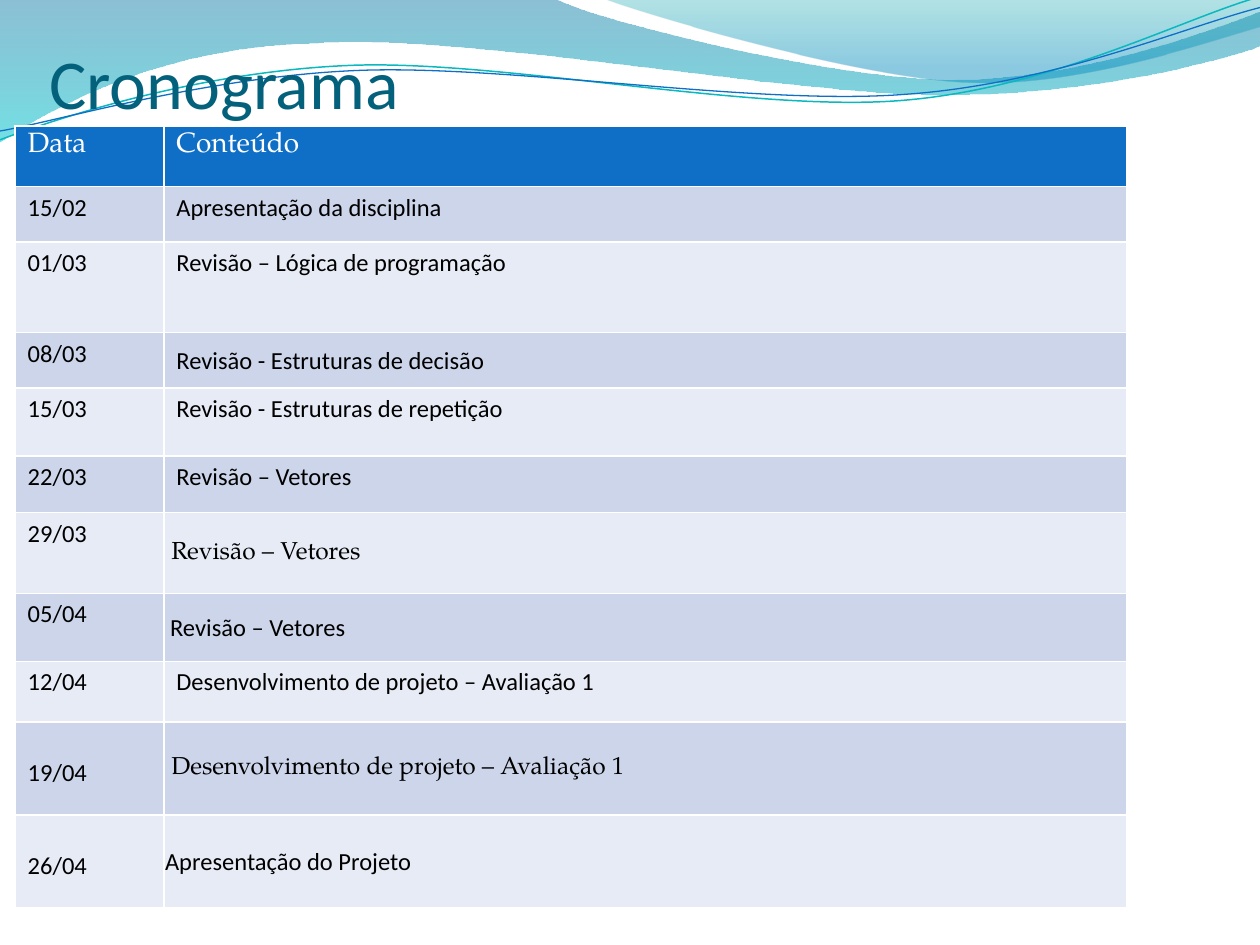
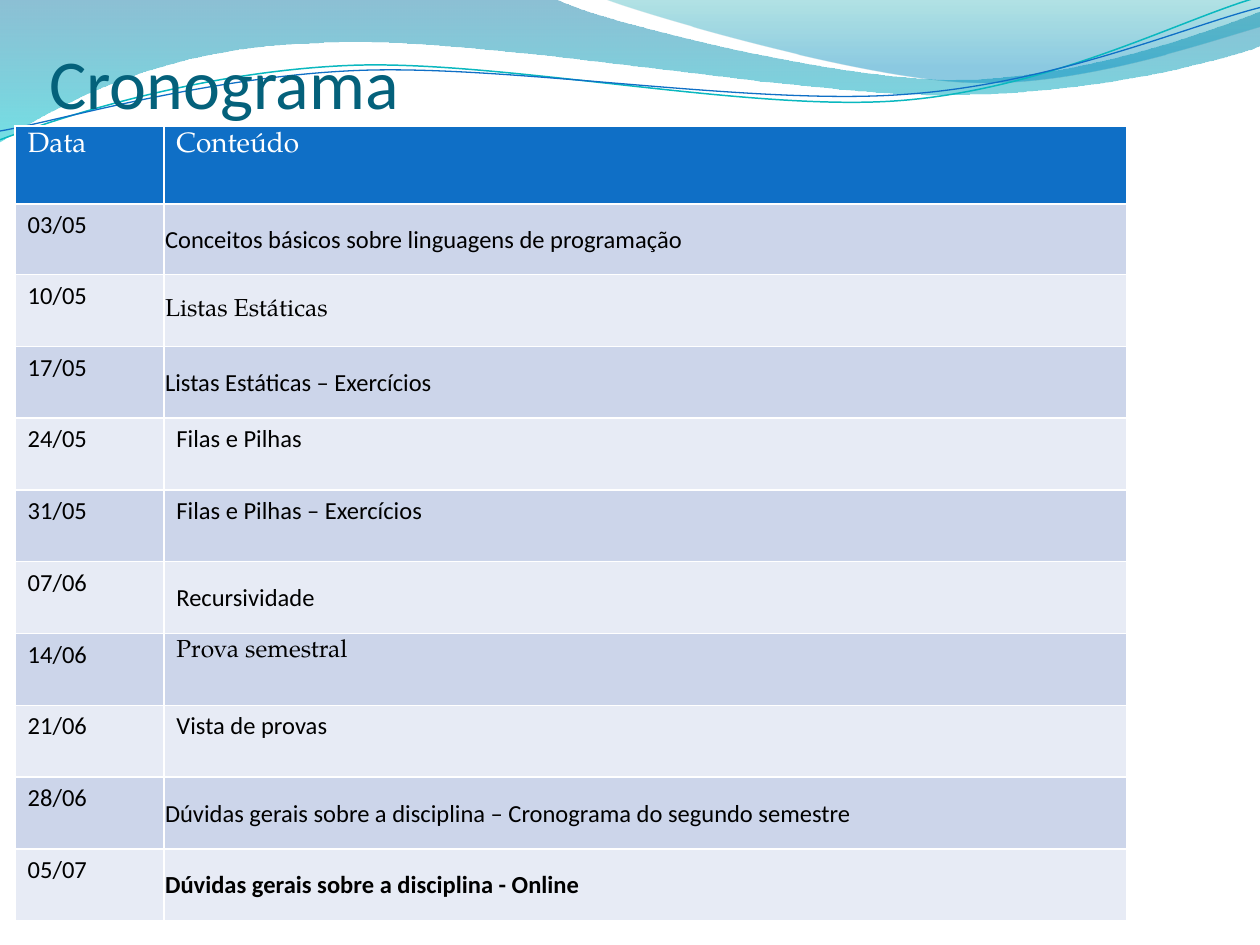
from dataclasses import dataclass

import lxml.etree
import pptx
import pptx.dml.color
import pptx.enum.text
import pptx.oxml.ns
import pptx.util

Inches = pptx.util.Inches
Pt = pptx.util.Pt
RGB = pptx.dml.color.RGBColor.from_string
qn = pptx.oxml.ns.qn
ANCHOR = pptx.enum.text.MSO_ANCHOR


@dataclass(frozen=True)
class Theme:
    title: str = "04617B"
    header: str = "0F6FC6"
    bands: tuple = ("CCD5EA", "E7EBF5")
    white: str = "FFFFFF"
    text: str = "000000"
    sans: str = "Calibri"
    serif: str = "TeX Gyre Pagella"
    title_size: int = 40
    header_size: int = 16
    body_size: int = 14


@dataclass(frozen=True)
class Row:
    height: float
    date: str
    content: str
    indent: float = None
    font: str = Theme.sans
    bold: bool = False
    date_top: float = 0.05


T = Theme()

waves = [
    dict(start=(0, 0), closed=True,
         segments=[(4.4, -0.01), (4.76, 0.17, 6.64, 0.63, 7.58, 0.63),
                   (8.53, 0.63, 9.58, 0.26, 10, 0.09), (10.01, 0.36),
                   (9.83, 0.44, 8.7, 0.76, 7.46, 0.75),
                   (6.22, 0.75, 3.82, 0.28, 2.57, 0.34),
                   (1.29, 0.36, 0.46, 0.83, -0.01, 1.13), (0, 0)],
         stops=[(0, "0074A1", 45), (1, "00C6CF", 55)]),
    dict(start=(4.79, -0.01), closed=True,
         segments=[(5.09, 0.11, 6.82, 0.62, 7.69, 0.65),
                   (8.56, 0.69, 9.61, 0.32, 10, 0.21), (10, 0), (4.79, -0.01)],
         stops=[(0, "00A1A9", 30), (0.8, "008BBF", 45)]),
    dict(start=(0, 1.11), closed=False,
         segments=[(0.48, 0.93, 1.58, 0.57, 2.77, 0.52),
                   (3.95, 0.47, 5.93, 0.89, 7.13, 0.8),
                   (8.33, 0.71, 9.38, 0.15, 9.98, -0.02)],
         line=("0AB8BF", 0.85)),
    dict(start=(0, 1.04), closed=False,
         segments=[(0.47, 0.96, 1.64, 0.61, 2.83, 0.56),
                   (4.03, 0.51, 5.97, 0.84, 7.17, 0.75),
                   (8.36, 0.67, 9.41, 0.21, 10, 0.06)],
         line=("0F6FC6", 0.75)),
]

schedules = [
    (0.48, [
        Row(0.44, "15/02", "Apresentação da disciplina"),
        Row(0.72, "01/03", "Revisão – Lógica de programação"),
        Row(0.44, "08/03", "Revisão - Estruturas de decisão", 0.1),
        Row(0.54, "15/03", "Revisão - Estruturas de repetição"),
        Row(0.45, "22/03", "Revisão – Vetores"),
        Row(0.64, "29/03", "Revisão – Vetores", 0.06, T.serif),
        Row(0.54, "05/04", "Revisão – Vetores", 0.05),
        Row(0.48, "12/04", "Desenvolvimento de projeto – Avaliação 1"),
        Row(0.74, "19/04", "Desenvolvimento de projeto – Avaliação 1", 0.06, T.serif,
            date_top=0.29),
        Row(0.74, "26/04", "Apresentação do Projeto", 0.01, date_top=0.29),
    ]),
    (0.62, [
        Row(0.56, "03/05", "Conceitos básicos sobre linguagens de programação", 0.01),
        Row(0.57, "10/05", "Listas Estáticas", 0.01, T.serif),
        Row(0.57, "17/05", "Listas Estáticas – Exercícios", 0.01),
        Row(0.57, "24/05", "Filas e Pilhas"),
        Row(0.57, "31/05", "Filas e Pilhas – Exercícios"),
        Row(0.57, "07/06", "Recursividade", 0.1),
        Row(0.57, "14/06", "Prova semestral", font=T.serif),
        Row(0.57, "21/06", "Vista de provas"),
        Row(0.57, "28/06",
            "Dúvidas gerais sobre a disciplina – Cronograma do segundo semestre", 0.01),
        Row(0.57, "05/07", "Dúvidas gerais sobre a disciplina - Online", 0.01, bold=True),
    ]),
]


def style_text(tf, font, size, color, bold=False):
    for p in tf.paragraphs:
        for r in p.runs:
            r.font.name = font
            r.font.size = Pt(size)
            r.font.bold = bold
            r.font.color.rgb = RGB(color)


def style_cell(cell, fill):
    tcPr = cell._tc.get_or_add_tcPr()
    for side in "LRTB":
        ln = lxml.etree.SubElement(tcPr, qn(f"a:ln{side}"), w=str(Pt(1)))
        solid = lxml.etree.SubElement(ln, qn("a:solidFill"))
        lxml.etree.SubElement(solid, qn("a:srgbClr"), val=T.white)
    cell.fill.solid()
    cell.fill.fore_color.rgb = RGB(fill)


prs = pptx.Presentation()
prs.slide_width = Inches(10)
prs.slide_height = Inches(7.5)
layout = prs.slide_layouts[5]
slides = [prs.slides.add_slide(layout) for _ in schedules]

for i, wave in enumerate(waves):
    x, y = wave["start"]
    builder = slides[0].shapes.build_freeform(Inches(x), Inches(y))
    ends = [(Inches(s[-2]), Inches(s[-1])) for s in wave["segments"]]
    builder.add_line_segments(ends, close=wave["closed"])
    sp = builder.convert_to_shape()
    sp.name = f"Wave {i + 1}"
    sp.shadow.inherit = False
    edges = list(sp._element.spPr.iter(qn("a:lnTo")))
    for edge, segment in zip(edges, wave["segments"]):
        if len(segment) == 6:
            curve = lxml.etree.Element(qn("a:cubicBezTo"))
            for x, y in zip(segment[::2], segment[1::2]):
                lxml.etree.SubElement(curve, qn("a:pt"), x=str(Inches(x) - sp.left),
                                      y=str(Inches(y) - sp.top))
            edge.getparent().replace(edge, curve)
    if wave["closed"]:
        sp.line.fill.background()
        sp.fill.gradient()
        sp.fill.gradient_angle = 270
        for stop, (position, color, opacity) in zip(sp.fill.gradient_stops, wave["stops"]):
            stop.position = position
            stop.color.rgb = RGB(color)
        colors = sp._element.spPr.iter(qn("a:srgbClr"))
        for clr, (position, color, opacity) in zip(colors, wave["stops"]):
            lxml.etree.SubElement(clr, qn("a:alpha"), val=str(opacity * 1000))
    else:
        color, width = wave["line"]
        sp.fill.background()
        sp.line.color.rgb = RGB(color)
        sp.line.width = Pt(width)
    prs.slide_master.shapes._spTree.insert(2 + i, sp._element)

for slide, (header_height, rows) in zip(slides, schedules):
    title = slide.shapes.title
    title.left, title.top = Inches(0.39), Inches(0.19)
    title.width, title.height = Inches(9.22), Inches(0.79)
    tf = title.text_frame
    tf.text = "Cronograma"
    tf.word_wrap = True
    tf.auto_size = pptx.enum.text.MSO_AUTO_SIZE.NONE
    tf.vertical_anchor = ANCHOR.BOTTOM
    tf.margin_left = tf.margin_right = tf.margin_bottom = 0
    tf.margin_top = Inches(0.05)
    tf.paragraphs[0].alignment = pptx.enum.text.PP_ALIGN.LEFT
    style_text(tf, T.sans, T.title_size, T.title)

    heights = [header_height] + [row.height for row in rows]
    table = slide.shapes.add_table(len(heights), 2, Inches(0.12), Inches(1),
                                   Inches(8.82), Inches(sum(heights))).table
    for column, width in zip(table.columns, (1.18, 7.64)):
        column.width = Inches(width)
    for table_row, height in zip(table.rows, heights):
        table_row.height = Inches(height)

    for c, heading in enumerate(("Data", "Conteúdo")):
        cell = table.cell(0, c)
        cell.text_frame.text = heading
        style_text(cell.text_frame, T.serif, T.header_size, T.white)
        style_cell(cell, T.header)

    for i, row in enumerate(rows):
        date, content = table.cell(i + 1, 0), table.cell(i + 1, 1)
        date.text_frame.text = row.date
        date.margin_top = Inches(row.date_top)
        style_text(date.text_frame, T.sans, T.body_size, T.text)
        content.text_frame.text = row.content
        style_text(content.text_frame, row.font, T.body_size, T.text, row.bold)
        if row.indent is not None:
            content.vertical_anchor = ANCHOR.MIDDLE
            content.margin_left = Inches(row.indent)
            content.margin_top = content.margin_right = Inches(0.01)
            content.margin_bottom = 0
        for cell in (date, content):
            style_cell(cell, T.bands[i % 2])

prs.save("out.pptx")
